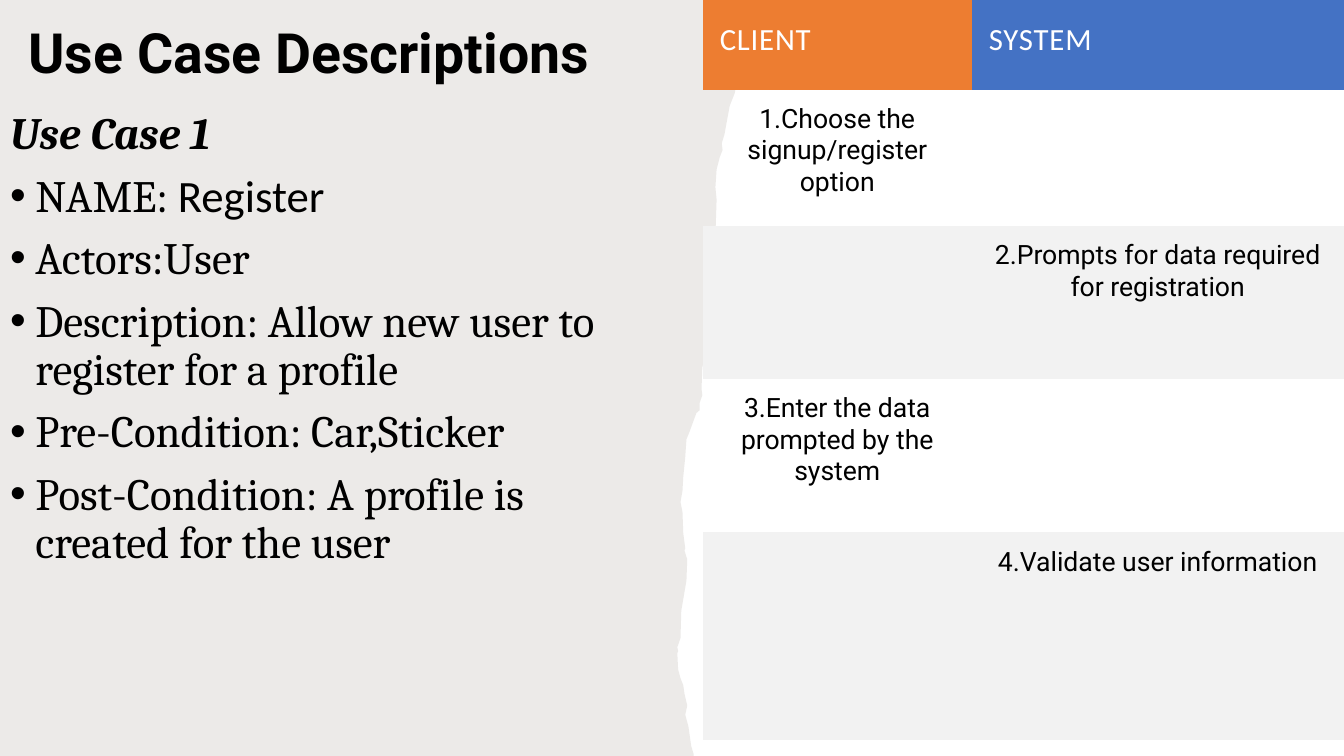
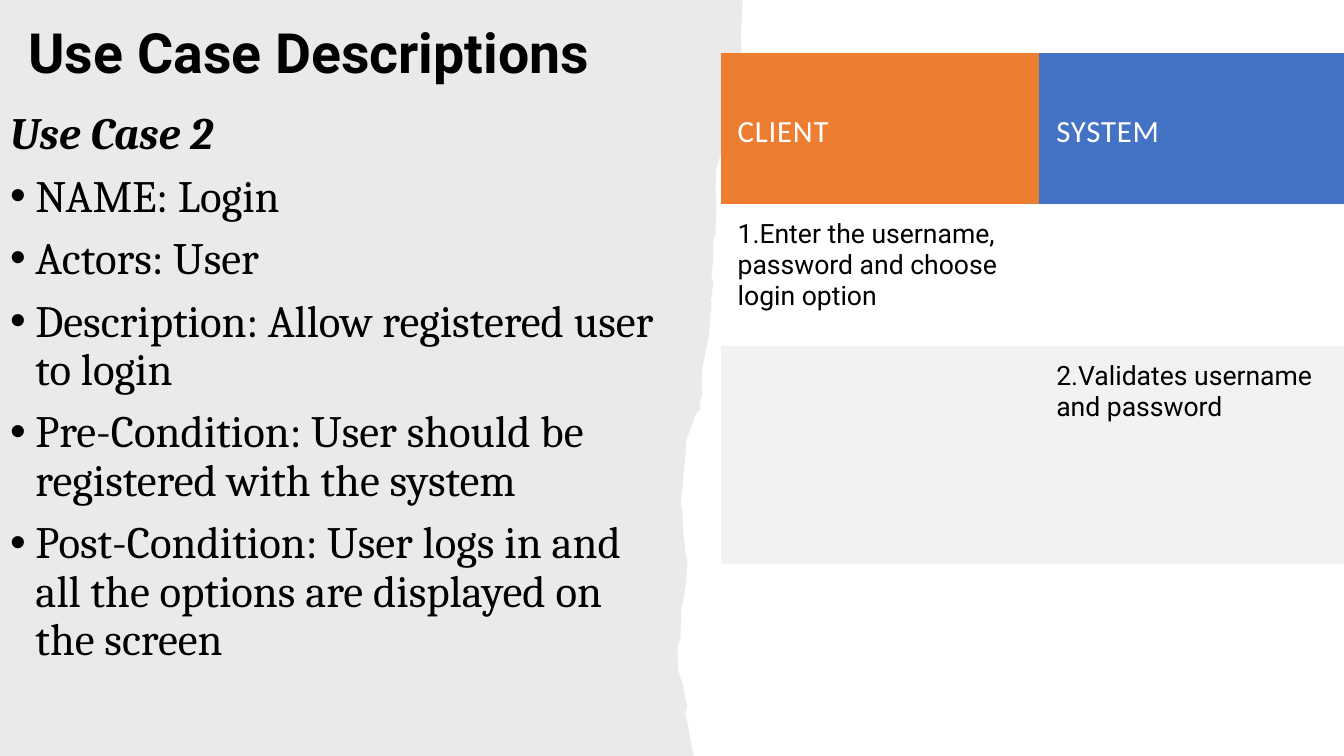
"""Build two use case slides, each with a torn panel, a list and a table."""
from dataclasses import dataclass

import pptx
import pptx.dml.color
import pptx.enum.text
import pptx.oxml
import pptx.oxml.ns
import pptx.util
from lxml import etree

Cm = pptx.util.Cm
Pt = pptx.util.Pt
ALIGN = pptx.enum.text.PP_ALIGN
ANCHOR = pptx.enum.text.MSO_ANCHOR
qn = pptx.oxml.ns.qn


@dataclass(frozen=True)
class Theme:
    ink: str = "000000"
    light: str = "FFFFFF"
    stone: str = "82766A"
    client: str = "ED7D31"
    system: str = "4472C4"
    stripe: str = "F2F2F2"
    sans: str = "Roboto"
    serif: str = "Cambria"
    plain: str = "Calibri"
    title: float = 39.6
    body: float = 32
    head: float = 22
    cell: float = 19


THEME = Theme()
TITLE = "Use Case Descriptions"
HEADS = (("CLIENT", THEME.client), ("SYSTEM", THEME.system))
EDGE = (
    (1872, 0), (1867, 86), (1869, 124), (1862, 178), (1859, 188), (1852, 234),
    (1839, 267), (1831, 310), (1826, 338), (1819, 361), (1821, 378), (1814, 396),
    (1806, 427), (1803, 472), (1806, 503), (1803, 594), (1798, 605), (1798, 645),
    (1793, 698), (1798, 716), (1793, 737), (1796, 742), (1791, 754), (1793, 767),
    (1786, 848), (1770, 927), (1768, 980), (1770, 996), (1763, 1016), (1763, 1034),
    (1755, 1041), (1737, 1090), (1730, 1107), (1727, 1151), (1722, 1201), (1720, 1237),
    (1715, 1265), (1720, 1290), (1722, 1344), (1727, 1382), (1725, 1387), (1732, 1410),
    (1730, 1463), (1717, 1539), (1715, 1608), (1707, 1631), (1709, 1641), (1707, 1646),
    (1709, 1687), (1715, 1709), (1722, 1727), (1725, 1748), (1732, 1778), (1727, 1801),
    (1735, 1831), (1742, 1880), (1748, 1900), (1748, 1905),
)


def paint(fill, color):
    fill.solid()
    fill.fore_color.rgb = pptx.dml.color.RGBColor.from_string(color)


def add_run(para, text, face, size, color=THEME.ink, bold=False, slant=False):
    run = para.add_run()
    run.text = text
    font = run.font
    font.name, font.size, font.bold, font.italic = face, Pt(size), bold, slant
    font.color.rgb = pptx.dml.color.RGBColor.from_string(color)
    return run


def add_panel(slide):
    pen = slide.shapes.build_freeform(0, 0, scale=Cm(0.01))
    pen.add_line_segments(EDGE + ((0, 1905),), close=True)
    panel = pen.convert_to_shape()
    panel.shadow.inherit = False
    panel.line.fill.background()
    paint(panel.fill, THEME.stone)
    tint = panel._element.spPr.find(".//" + qn("a:srgbClr"))
    etree.SubElement(tint, qn("a:alpha")).set("val", "15000")
    slide.shapes._spTree.insert(2, panel._element)


def place(holder, left, top, width, height, anchor):
    holder.left, holder.top = Cm(left), Cm(top)
    holder.width, holder.height = Cm(width), Cm(height)
    frame = holder.text_frame
    frame.word_wrap = True
    frame.auto_size = pptx.enum.text.MSO_AUTO_SIZE.NONE
    frame.vertical_anchor = anchor
    return frame


def add_title(slide):
    frame = place(slide.shapes.title, 0.46, 0, 16.15, 2.82, ANCHOR.MIDDLE)
    para = frame.paragraphs[0]
    para.alignment = ALIGN.LEFT
    para.line_spacing = 0.9
    add_run(para, TITLE, THEME.sans, THEME.title, bold=True)


def set_bullet(para, shown):
    props = para._p.get_or_add_pPr()
    indent = Cm(0.64) if shown else 0
    props.set("marL", str(indent))
    props.set("indent", str(-indent))
    if shown:
        etree.SubElement(props, qn("a:buFont")).set("typeface", "Arial")
        etree.SubElement(props, qn("a:buChar")).set("char", "•")
    else:
        etree.SubElement(props, qn("a:buNone"))


def add_list(slide, head, items):
    frame = place(slide.placeholders[1], 0, 2.67, 17.04, 15.29, ANCHOR.TOP)
    for num, parts in enumerate([[(head, THEME.serif)], *items]):
        first = num == 0
        para = frame.paragraphs[0] if first else frame.add_paragraph()
        set_bullet(para, not first)
        para.line_spacing = 0.9
        para.space_before = Pt(0 if first else 10)
        for text, face in parts:
            add_run(para, text, face, THEME.body, bold=first, slant=first)


def fill_cell(cell, color):
    cell.margin_left = cell.margin_right = Cm(0.43)
    cell.margin_top, cell.margin_bottom = Cm(0.36), Cm(0.2)
    if color:
        paint(cell.fill, color)
    else:
        cell.fill.background()


def add_table(slide, left, top, widths, heights, steps, align):
    table = slide.shapes.add_table(
        len(heights), len(widths), Cm(left), Cm(top), Cm(sum(widths)), Cm(sum(heights))
    ).table
    table._tbl.tblPr.find(qn("a:tableStyleId")).text = "{2D5ABB26-0587-4C30-8999-92F81FD0307C}"
    table.horz_banding = False
    for col, width in zip(table.columns, widths):
        col.width = Cm(width)
    for row, height in zip(table.rows, heights):
        row.height = Cm(height)
    for col, (text, color) in enumerate(HEADS):
        cell = table.cell(0, col)
        fill_cell(cell, color)
        cell.vertical_anchor = ANCHOR.MIDDLE
        run = add_run(cell.text_frame.paragraphs[0], text, THEME.plain, THEME.head, THEME.light)
        run.font._element.set("spc", "60")
    for num, text in enumerate(steps):
        side = num % 2
        for cell in table.rows[num + 1].cells:
            fill_cell(cell, THEME.stripe if side else None)
        para = table.cell(num + 1, side).text_frame.paragraphs[0]
        para.alignment = align
        add_run(para, text, THEME.sans, THEME.cell)


def add_slide(deck, head, items, grid):
    slide = deck.slides.add_slide(deck.slide_layouts[1])
    add_panel(slide)
    add_title(slide)
    add_list(slide, head, items)
    add_table(slide, **grid)


def lines(*texts):
    return [[(text, THEME.serif)] for text in texts]


def main():
    deck = pptx.Presentation()
    deck.slide_width, deck.slide_height = Cm(33.87), Cm(19.05)
    add_slide(
        deck,
        "Use Case 1",
        [
            [("NAME: ", THEME.serif), ("Register", THEME.plain)],
            *lines(
                "Actors:User",
                "Description: Allow new user to register for a profile",
                "Pre-Condition: Car,Sticker",
                "Post-Condition: A profile is created for the user",
            ),
        ],
        dict(
            left=17.71, top=-0.41, widths=(6.78, 9.37),
            heights=(2.67, 3.43, 3.86, 3.86, 5.23), align=ALIGN.CENTER,
            steps=(
                "1.Choose the signup/register option",
                "2.Prompts for data required for registration",
                "3.Enter the data prompted by the system",
                "4.Validate user information",
            ),
        ),
    )
    add_slide(
        deck,
        "Use Case 2",
        lines(
            "NAME: Login",
            "Actors: User",
            "Description: Allow registered user to login",
            "Pre-Condition: User should be registered with the system",
            "Post-Condition: User logs in and all the options are displayed on the screen",
        ),
        dict(
            left=18.16, top=1.34, widths=(8.03, 7.87),
            heights=(3.81, 3.58, 5.49), align=ALIGN.LEFT,
            steps=(
                "1.Enter the username, password and choose login option",
                "2.Validates username and password",
            ),
        ),
    )
    deck.save("out.pptx")


if __name__ == "__main__":
    main()
